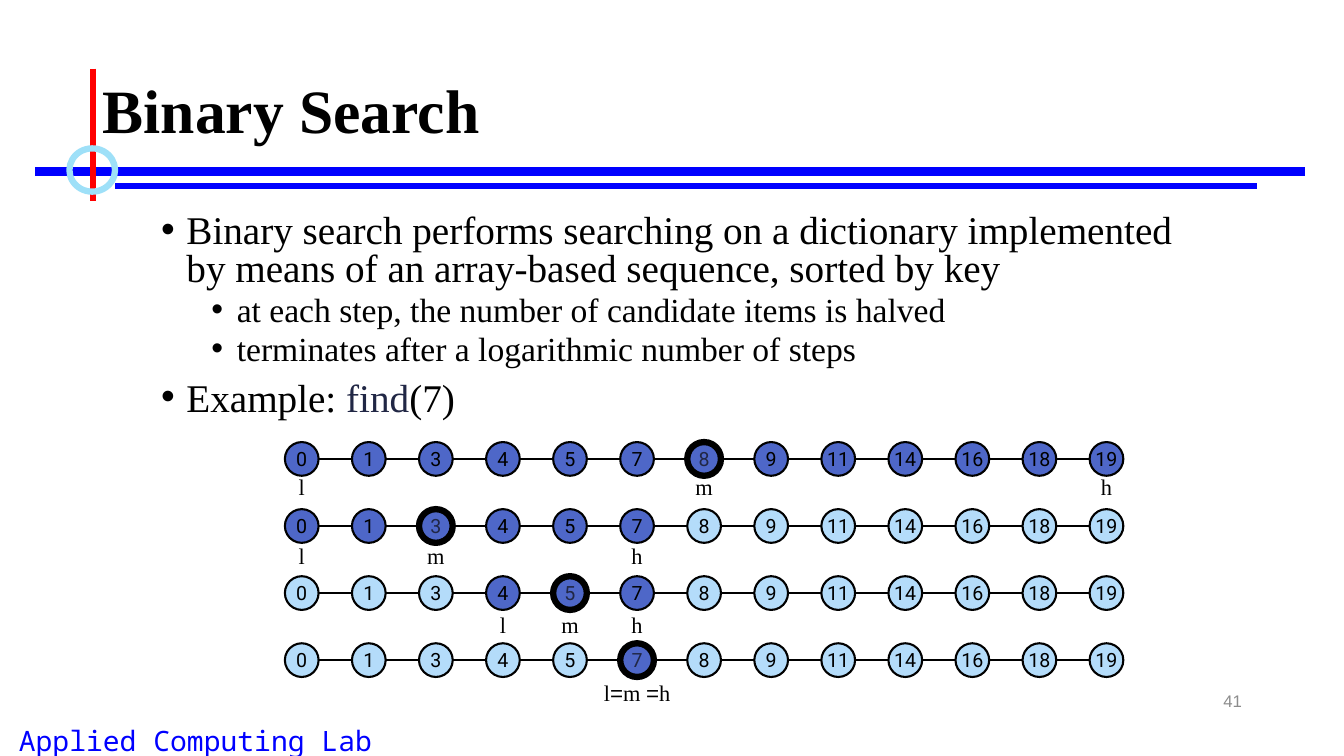
import lxml.etree
import pptx
import pptx.dml.color
import pptx.enum.shapes
import pptx.enum.text
import pptx.oxml.ns
import pptx.util

Cm = pptx.util.Cm
Pt = pptx.util.Pt
qn = pptx.oxml.ns.qn
ALIGN = pptx.enum.text.PP_ALIGN
ANCHOR = pptx.enum.text.MSO_ANCHOR

COLORS = {
    "black": "000000", "blue": "0000FF", "red": "FF0000", "ring": "9EE0F8",
    "candidate": "4E67C8", "discarded": "B4DCFA", "accent": "212745", "gray": "8C8C8C",
}
SERIF, SANS = "Times New Roman", "Arial"

KEYS = [0, 1, 3, 4, 5, 7, 8, 9, 11, 14, 16, 18, 19]
STEPS = [(0, 6, 12), (0, 2, 5), (3, 4, 5), (5, 5, 5)]
NODE_SIZE, NODE_PITCH, ROW_PITCH = 0.85, 1.69, 1.69
LABEL_TOP, LABEL_PITCH, LABEL_WIDTH, LABEL_HEIGHT = 0.67, 1.73, 2.2, 0.94

BULLETS = [
    (0, [("Binary search performs searching on a dictionary implemented by means of "
          "an array-based sequence, sorted by key", "black")]),
    (1, [("at each step, the number of candidate items is halved", "black")]),
    (1, [("terminates after a logarithmic number of steps", "black")]),
    (0, [("Example: ", "black"), ("find", "accent"), ("(7)", "black")]),
]


def rgb(name):
    """Return the named palette colour."""
    return pptx.dml.color.RGBColor.from_string(COLORS[name])


def format_run(run, size, font, color, bold=False):
    """Set the character format of a run."""
    run.font.size = Pt(size)
    run.font.name = font
    run.font.color.rgb = rgb(color)
    run.font.bold = bold


def add_text(slide, box, pieces, size, color, align=ALIGN.LEFT, anchor=ANCHOR.TOP,
             wrap=True, bold=False):
    """Add a one-paragraph text box from (text, font) pieces and return the paragraph."""
    text_frame = slide.shapes.add_textbox(*map(Cm, box)).text_frame
    text_frame.word_wrap = wrap
    text_frame.vertical_anchor = anchor
    paragraph = text_frame.paragraphs[0]
    paragraph.alignment = align
    for text, font in pieces:
        run = paragraph.add_run()
        run.text = text
        format_run(run, size, font, color, bold)
    return paragraph


def add_line(slide, start, end, color, width):
    """Draw a straight line without shadow."""
    line = slide.shapes.add_connector(
        pptx.enum.shapes.MSO_CONNECTOR.STRAIGHT, *map(Cm, (*start, *end)))
    line.line.color.rgb = rgb(color)
    line.line.width = Pt(width)
    lxml.etree.SubElement(line._element.spPr, qn("a:effectLst"))


def add_circle(slide, box, fill, outline, width):
    """Draw an ellipse, unfilled when fill is None."""
    shape = slide.shapes.add_shape(pptx.enum.shapes.MSO_SHAPE.OVAL, *map(Cm, box))
    shape.shadow.inherit = False
    if fill:
        shape.fill.solid()
        shape.fill.fore_color.rgb = rgb(fill)
    else:
        shape.fill.background()
    shape.line.color.rgb = rgb(outline)
    shape.line.width = Pt(width)
    return shape


def add_rules(slide, box):
    """Draw the crossed rules and the ring under the title."""
    left, top, width, height = box
    add_line(slide, (left, top + 2.59), (left + width, top + 2.59), "blue", 6)
    add_line(slide, (left + 2.01, top + 2.95), (left + 30.78, top + 2.95), "blue", 4.5)
    add_line(slide, (left + 1.45, top), (left + 1.45, top + height), "red", 4.5)
    add_circle(slide, (left + 0.86, top + 2.01, 1.15, 1.09), None, "ring", 4.5)


def add_bullets(slide, box):
    """Add the two-level bullet list."""
    text_frame = slide.shapes.add_textbox(*map(Cm, box)).text_frame
    text_frame.word_wrap = True
    for index, (level, pieces) in enumerate(BULLETS):
        paragraph = text_frame.add_paragraph() if index else text_frame.paragraphs[0]
        paragraph.level = level
        paragraph.line_spacing = 0.8
        paragraph.space_before = Pt(5 if level else 10)
        for text, color in pieces:
            run = paragraph.add_run()
            run.text = text
            format_run(run, 24 if level else 28, SERIF, color)
        properties = paragraph._p.get_or_add_pPr()
        properties.set("marL", str(Cm(0.64 + 1.27 * level)))
        properties.set("indent", str(-Cm(0.64)))
        lxml.etree.SubElement(properties, qn("a:buFont")).set("typeface", SANS)
        lxml.etree.SubElement(properties, qn("a:buChar")).set("char", "•")


def add_node(slide, box, key, candidate, middle):
    """Draw one key of the sequence."""
    shape = add_circle(slide, box, "candidate" if candidate else "discarded",
                       "black", 4.5 if middle else 1.5)
    text_frame = shape.text_frame
    text_frame.text = str(key)
    text_frame.word_wrap = False
    text_frame.vertical_anchor = ANCHOR.MIDDLE
    text_frame.margin_left = text_frame.margin_right = 0
    paragraph = text_frame.paragraphs[0]
    paragraph.alignment = ALIGN.CENTER
    format_run(paragraph.runs[0], 14, "Roboto", "accent" if middle else "black")


def step_labels(low, middle, high):
    """Return (column, pieces) for the pointers of one step."""
    if low == high:
        return [(low, [("l", SERIF), ("=", SANS), ("m ", SERIF), ("=", SANS), ("h", SERIF)])]
    return [(column, [(name, SERIF)]) for column, name in
            ((low, "l"), (middle, "m"), (high, "h"))]


def add_search_steps(slide, left, top):
    """Draw one chain of keys with its pointers for every step of the search."""
    centers = [left + NODE_SIZE / 2 + column * NODE_PITCH for column in range(len(KEYS))]
    for row, (low, middle, high) in enumerate(STEPS):
        row_top = top + row * ROW_PITCH
        axis = row_top + NODE_SIZE / 2
        add_line(slide, (centers[0], axis), (centers[-1], axis), "black", 1.5)
        for column, key in enumerate(KEYS):
            box = (centers[column] - NODE_SIZE / 2, row_top, NODE_SIZE, NODE_SIZE)
            add_node(slide, box, key, low <= column <= high, column == middle)
        label_top = top + LABEL_TOP + row * LABEL_PITCH
        for column, pieces in step_labels(low, middle, high):
            box = (centers[column] - LABEL_WIDTH / 2, label_top, LABEL_WIDTH, LABEL_HEIGHT)
            add_text(slide, box, pieces, 16, "black", ALIGN.CENTER)


def main():
    """Build and save the slide."""
    presentation = pptx.Presentation()
    presentation.slide_width = Cm(33.87)
    presentation.slide_height = Cm(19.05)
    slide = presentation.slides.add_slide(presentation.slide_layouts[6])
    add_text(slide, (-1.47, 18.11, 12.8, 1.09), [("Applied Computing Lab", "Noto Sans Mono")],
             20, "blue", ALIGN.CENTER)
    add_rules(slide, (0.89, 1.73, 32, 3.33))
    add_text(slide, (23.93, 17.15, 7.62, 1.02), [("41", SANS)], 12, "gray",
             ALIGN.RIGHT, ANCHOR.MIDDLE)
    title = add_text(slide, (2.34, 1.02, 29.21, 3.68), [("Binary Search", SERIF)], 44, "black",
                     anchor=ANCHOR.MIDDLE, bold=True)
    title.line_spacing = 0.9
    add_bullets(slide, (3.81, 5.28, 27, 6.99))
    add_search_steps(slide, 7.18, 11.14)
    presentation.save("out.pptx")


if __name__ == "__main__":
    main()
